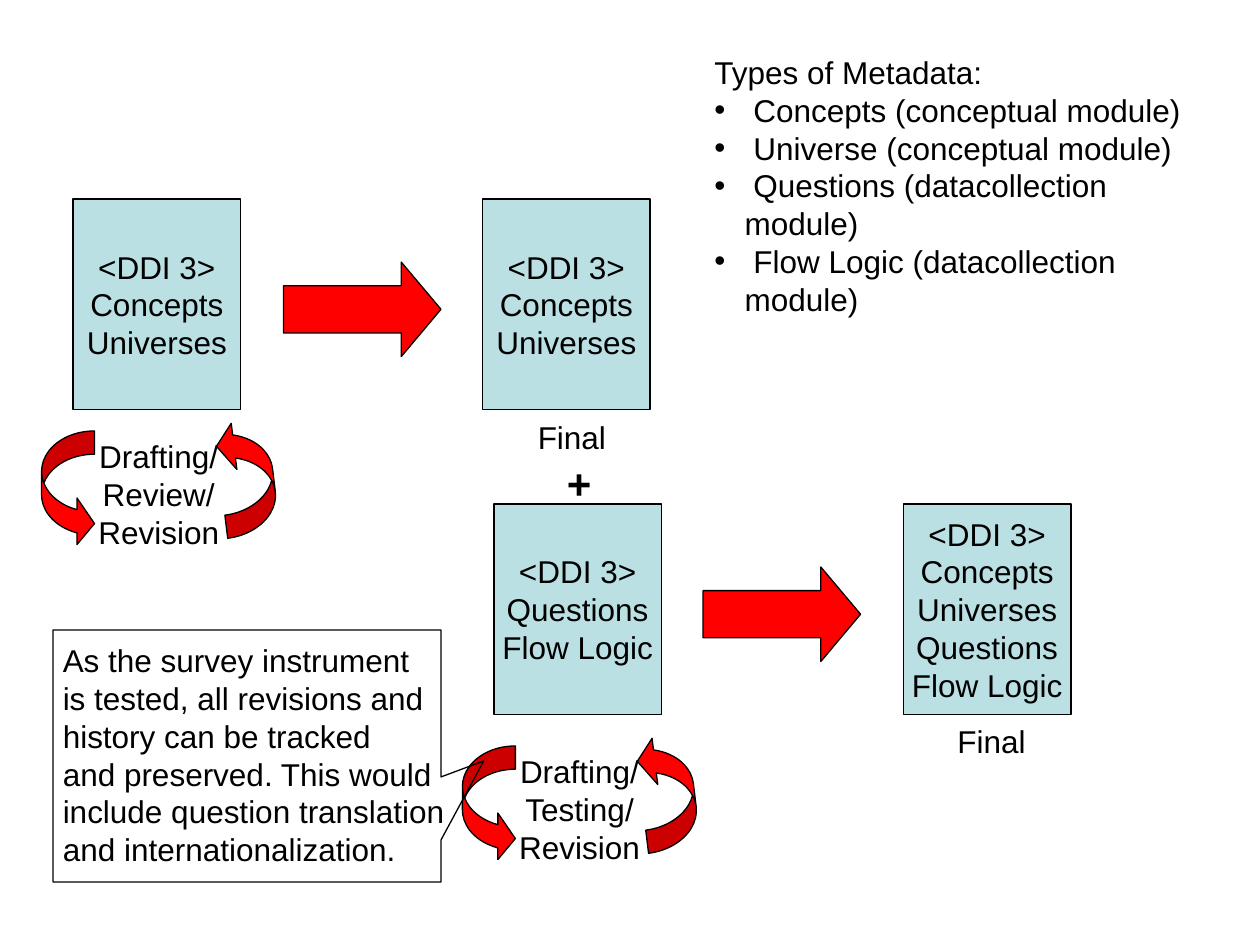
"""Build the slide on metadata types gathered while a survey instrument is drafted."""
import lxml.etree
import pptx
import pptx.dml.color
import pptx.enum.shapes
import pptx.enum.text
import pptx.oxml.ns
import pptx.util

Inches = pptx.util.Inches
SHAPE = pptx.enum.shapes.MSO_SHAPE
ALIGN = pptx.enum.text.PP_ALIGN
ANCHOR = pptx.enum.text.MSO_ANCHOR

BLACK = pptx.dml.color.RGBColor(0x00, 0x00, 0x00)
RED = pptx.dml.color.RGBColor(0xFF, 0x00, 0x00)
PALE_BLUE = pptx.dml.color.RGBColor(0xBB, 0xE0, 0xE3)

FIRST_MODULES = ["<DDI 3>", "Concepts", "Universes"]
ADDED_MODULES = ["Questions", "Flow Logic"]
METADATA_TYPES = [
    "Types of Metadata:",
    " Concepts (conceptual module)",
    " Universe (conceptual module)",
    " Questions (datacollection module)",
    " Flow Logic (datacollection module)",
]
TRACKING_NOTE = [
    "As the survey instrument",
    "is tested, all revisions and",
    "history can be tracked",
    "and preserved. This would",
    "include question translation",
    "and internationalization.",
]


def write_lines(shape, lines, alignment=ALIGN.LEFT, size=18, bold=False, wrap=False):
    """Write one paragraph per line in black Arial."""
    text_frame = shape.text_frame
    text_frame.text = "\n".join(lines)
    text_frame.word_wrap = wrap
    text_frame.auto_size = pptx.enum.text.MSO_AUTO_SIZE.NONE
    for paragraph in text_frame.paragraphs:
        paragraph.alignment = alignment
        paragraph.space_before = pptx.util.Pt(0)
        for run in paragraph.runs:
            run.font.name = "Arial"
            run.font.size = pptx.util.Pt(size)
            run.font.bold = bold
            run.font.color.rgb = BLACK


def add_outlined_shape(slide, kind, left, top, width, height, fill=None, adjustments=()):
    """Add a preset shape with a thin black outline."""
    shape = slide.shapes.add_shape(
        kind, Inches(left), Inches(top), Inches(width), Inches(height))
    shape.shadow.inherit = False
    if fill is None:
        shape.fill.background()
    else:
        shape.fill.solid()
        shape.fill.fore_color.rgb = fill
    shape.line.color.rgb = BLACK
    shape.line.width = pptx.util.Pt(0.75)
    for index, value in enumerate(adjustments):
        shape.adjustments[index] = value
    return shape


def add_label(slide, lines, left, top, width, height, **style):
    """Add a text box that keeps its own line breaks."""
    label = slide.shapes.add_textbox(
        Inches(left), Inches(top), Inches(width), Inches(height))
    write_lines(label, lines, **style)


def add_document(slide, lines, left, top):
    """Add a pale blue document box with centred text."""
    document = add_outlined_shape(
        slide, SHAPE.RECTANGLE, left, top, 1.33, 1.67, PALE_BLUE)
    document.text_frame.vertical_anchor = ANCHOR.MIDDLE
    write_lines(document, lines, ALIGN.CENTER)


def add_stage_arrow(slide, left, top):
    """Add a red block arrow leading to the next document."""
    add_outlined_shape(
        slide, SHAPE.RIGHT_ARROW, left, top, 1.25, 0.75, RED, (0.5, 0.42))


def add_revision_cycle(slide, activity, left, top):
    """Add two curved arrows circling the steps of a revision cycle."""
    for offset_x, offset_y, rotation in ((0, 0.09, 0), (1.42, 0, 173)):
        arrow = add_outlined_shape(
            slide, SHAPE.CURVED_RIGHT_ARROW, left + offset_x, top + offset_y,
            0.42, 0.92, RED, (0.44, 0.88, 0.33))
        arrow.rotation = rotation
    add_label(slide, ["Drafting/", activity, "Revision"],
              left + 0.35, top + 0.09, 1.16, 1, alignment=ALIGN.CENTER)


def fill_metadata_list(body):
    """Place the body placeholder and write the heading and its bullets."""
    body.left, body.top = Inches(5.57), Inches(0.37)
    body.width, body.height = Inches(4.2), Inches(2.2)
    write_lines(body, METADATA_TYPES, wrap=True)
    for index, paragraph in enumerate(body.text_frame.paragraphs):
        properties = paragraph._p.get_or_add_pPr()
        indent = Inches(0.24) if index else 0
        properties.set("marL", str(indent))
        properties.set("indent", str(-indent))
        tag = "a:buChar" if index else "a:buNone"
        bullet = lxml.etree.SubElement(properties, pptx.oxml.ns.qn(tag))
        if index:
            bullet.set("char", "•")


def main():
    """Build and save the slide."""
    presentation = pptx.Presentation()
    presentation.slide_width = Inches(10)
    presentation.slide_height = Inches(7.5)
    slide = presentation.slides.add_slide(presentation.slide_layouts[1])
    title = slide.shapes.title.element
    title.getparent().remove(title)
    fill_metadata_list(slide.placeholders[1])

    add_document(slide, FIRST_MODULES, 0.58, 1.58)
    add_stage_arrow(slide, 2.25, 2.08)
    add_document(slide, FIRST_MODULES, 3.83, 1.58)
    add_document(slide, FIRST_MODULES[:1] + ADDED_MODULES, 3.92, 4)
    add_document(slide, FIRST_MODULES + ADDED_MODULES, 7.17, 4)
    add_stage_arrow(slide, 5.58, 4.5)

    add_label(slide, ["+"], 4.4, 3.58, 0.39, 0.5, size=24, bold=True)
    add_revision_cycle(slide, "Review/", 0.33, 3.33)
    add_label(slide, ["Final"], 4.17, 3.27, 0.74, 0.4)
    add_revision_cycle(slide, "Testing/", 3.67, 5.83)
    add_label(slide, ["Final"], 7.5, 5.68, 0.74, 0.4)

    add_label(slide, TRACKING_NOTE, 0.4, 5.04, 3.23, 1.9)
    add_outlined_shape(slide, SHAPE.RECTANGULAR_CALLOUT, 0.42, 5, 3.08, 2,
                       adjustments=(0.61, 0.02))
    presentation.save("out.pptx")


if __name__ == "__main__":
    main()
